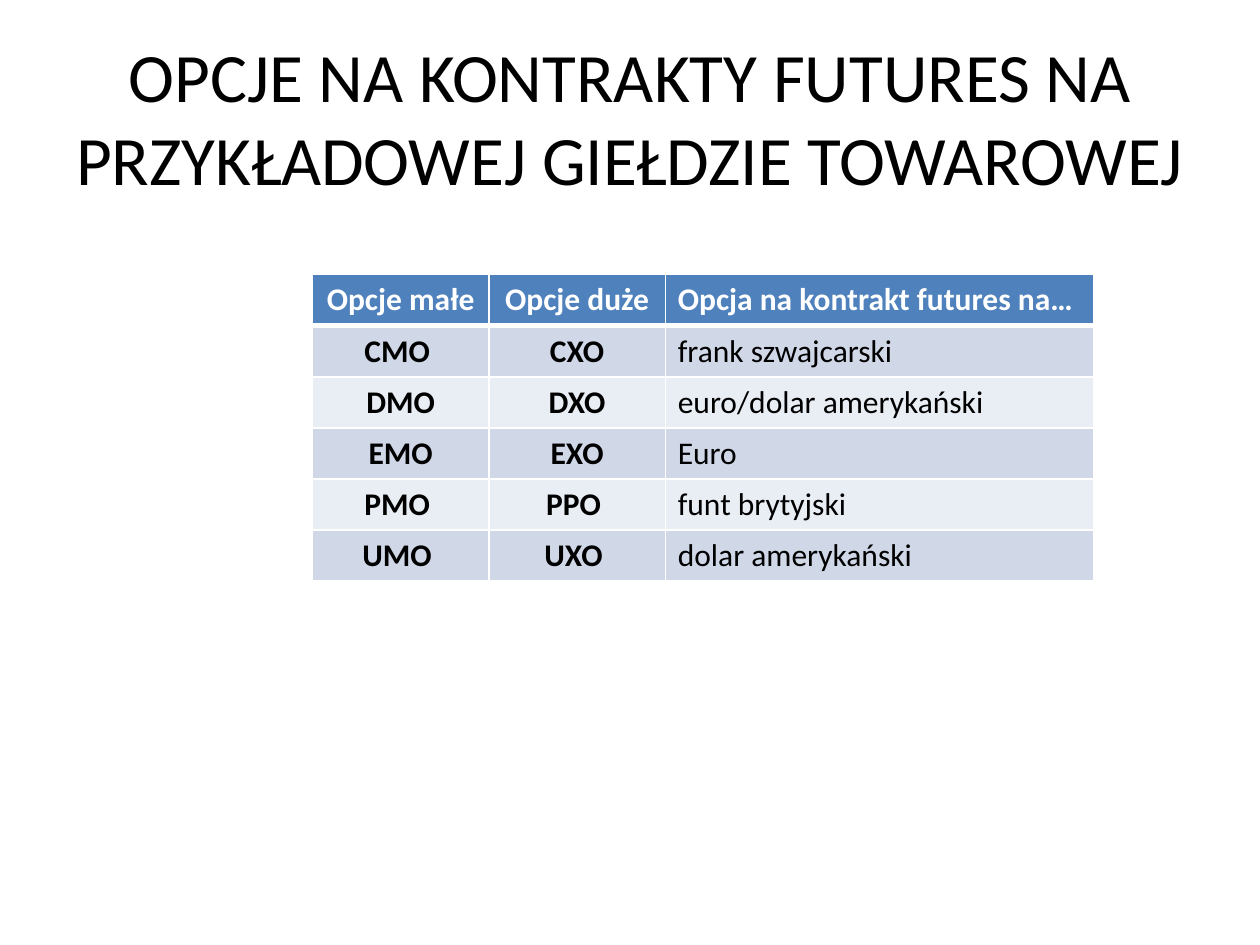
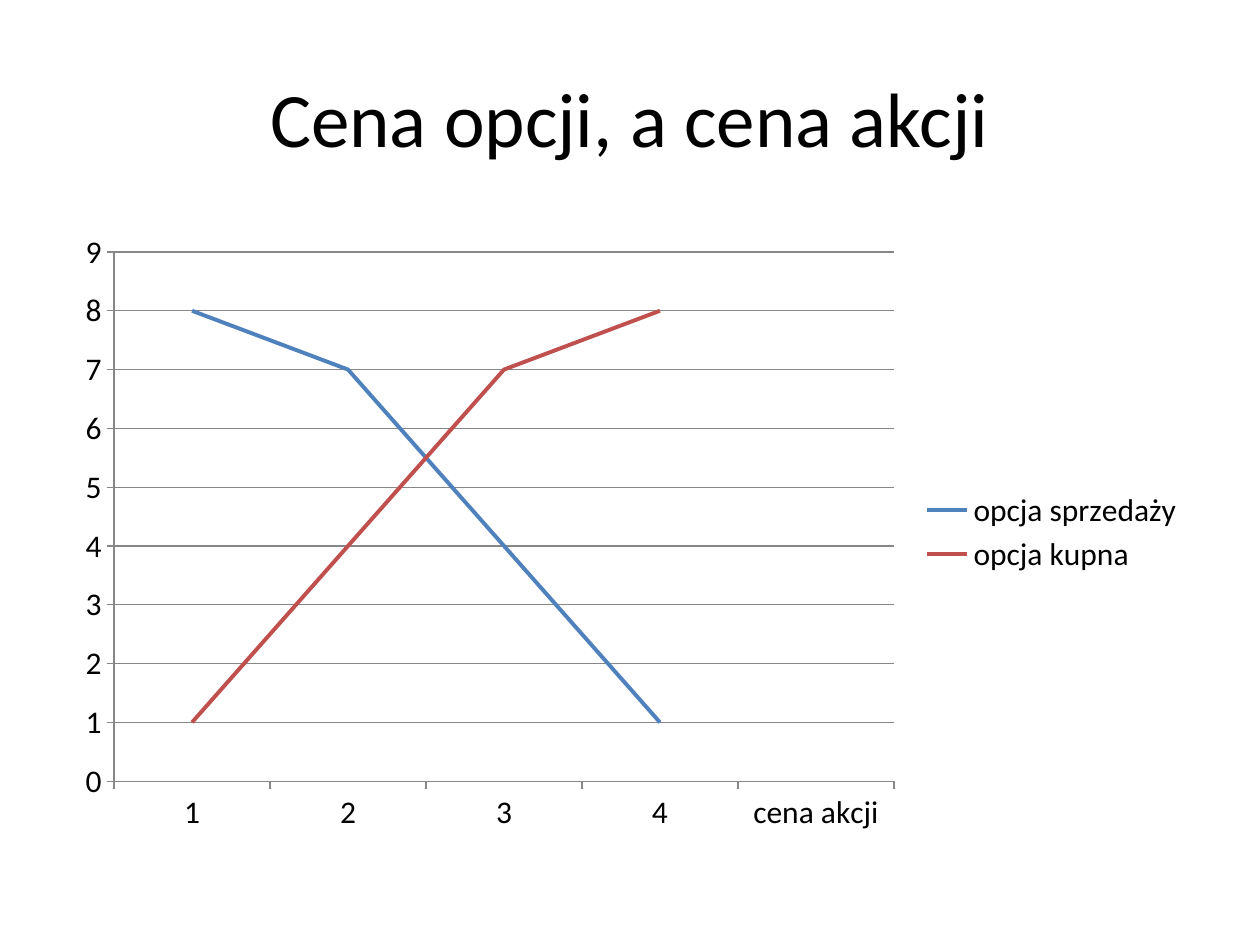
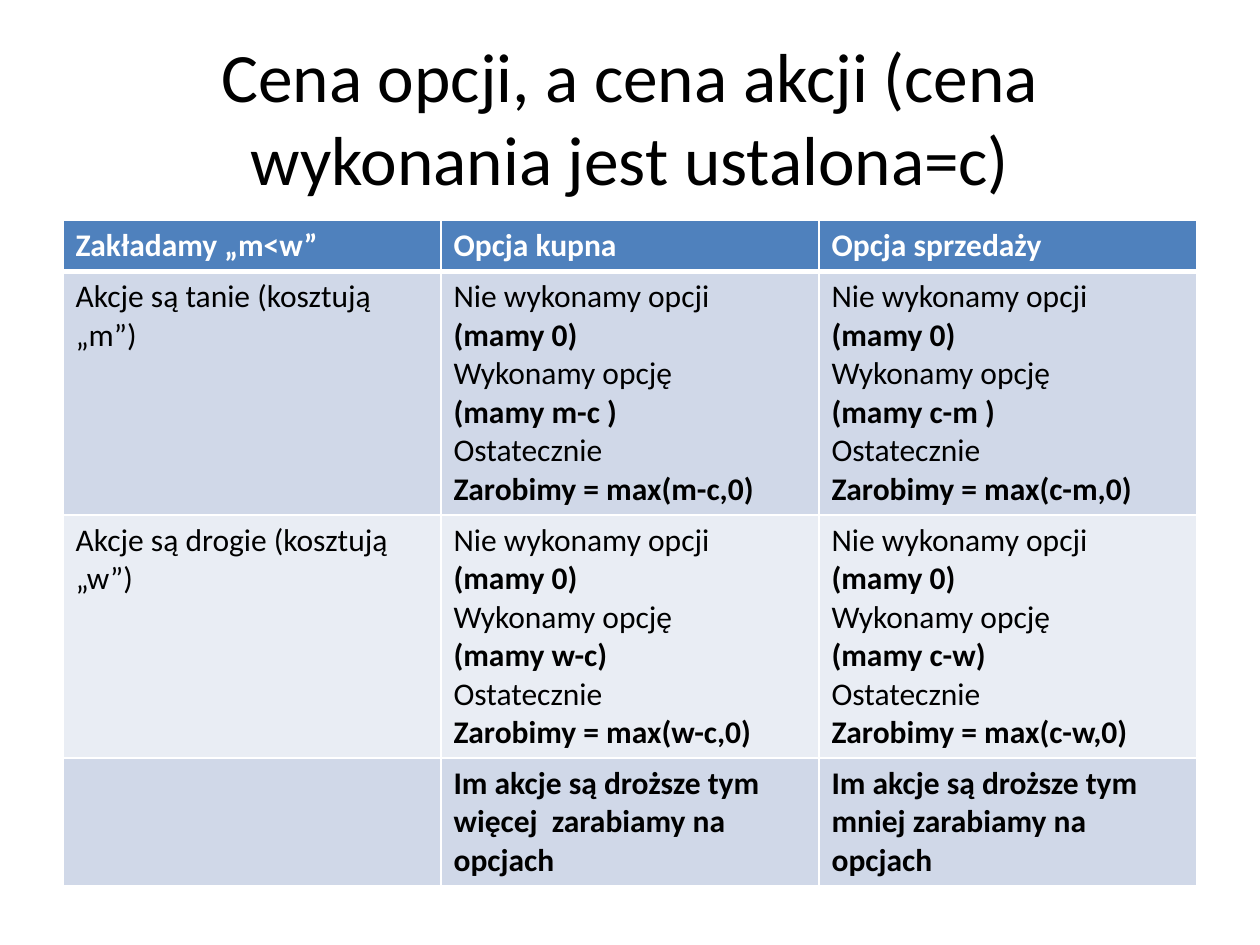
from dataclasses import dataclass

from lxml import etree
from pptx import Presentation
from pptx.chart.data import CategoryChartData
from pptx.dml.color import RGBColor
from pptx.enum.chart import XL_CHART_TYPE, XL_LEGEND_POSITION, XL_MARKER_STYLE, XL_TICK_MARK
from pptx.enum.text import MSO_ANCHOR, MSO_AUTO_SIZE, PP_ALIGN
from pptx.oxml.ns import qn
from pptx.slide import Slide
from pptx.util import Inches, Pt

# Shared look
COLORS = {
    "text": "000000",
    "white": "FFFFFF",
    "header": "4F81BD",
    "odd_row": "D0D8E8",
    "even_row": "E9EDF4",
    "put": "4F81BD",
    "call": "C0504D",
    "axis": "878787",
}
FONT = "Calibri"
BODY_SIZE = 18
LONG_TITLE_SIZE = 39.6
SHORT_TITLE_SIZE = 44
HEADER_HEIGHT = 0.4


@dataclass(frozen=True)
class Span:
    text: str
    bold: bool = False


# A cell is a list of lines, and a line is a list of spans
Cell = list[list[Span]]


@dataclass(frozen=True)
class OptionTable:
    left: float
    top: float
    column_widths: list[float]
    row_heights: list[float]
    rows: list[list[Cell]]
    centred_columns: int = 0


def color(name: str) -> RGBColor:
    return RGBColor.from_string(COLORS[name])


def style_font(font, size: float, color_name: str = "text", bold: bool = False) -> None:
    font.name = FONT
    font.size = Pt(size)
    font.bold = bold
    font.color.rgb = color(color_name)


def plain(text: str) -> Cell:
    return [[Span(text)]]


def strong(text: str) -> Cell:
    return [[Span(text, bold=True)]]


def payoff(gain: str, closing: str = ")") -> Cell:
    """Outcome of leaving or exercising an option with the given gain."""
    return [
        [Span("Nie wykonamy opcji "), Span("(mamy 0)", bold=True)],
        [Span("Wykonamy opcję")],
        [Span(f"(mamy {gain}{closing}", bold=True)],
        [Span("Ostatecznie")],
        [Span(f"Zarobimy = max({gain},0)", bold=True)],
    ]


def add_titled_slide(presentation, title_text: str, size: float) -> Slide:
    slide = presentation.slides.add_slide(presentation.slide_layouts[5])
    title = slide.shapes.title
    title.left, title.top = Inches(0.5), Inches(0.3)
    title.width, title.height = Inches(9), Inches(1.25)
    frame = title.text_frame
    frame.text = title_text
    frame.word_wrap = True
    frame.auto_size = MSO_AUTO_SIZE.NONE
    frame.vertical_anchor = MSO_ANCHOR.MIDDLE
    paragraph = frame.paragraphs[0]
    paragraph.alignment = PP_ALIGN.CENTER
    style_font(paragraph.runs[0].font, size)
    return slide


def add_borders(cell, bottom_width: float, top_width: float) -> None:
    properties = cell._tc.get_or_add_tcPr()
    widths = {"a:lnL": 1, "a:lnR": 1, "a:lnT": top_width, "a:lnB": bottom_width}
    for tag, width in widths.items():
        line = etree.SubElement(properties, qn(tag), w=str(Pt(width)))
        fill = etree.SubElement(line, qn("a:solidFill"))
        etree.SubElement(fill, qn("a:srgbClr"), val=COLORS["white"])


def fill_cell(cell, content: Cell, row: int, centred: bool) -> None:
    is_header = row == 0
    add_borders(cell, bottom_width=3 if is_header else 1, top_width=3 if row == 1 else 1)
    cell.fill.solid()
    fill_name = "header" if is_header else "odd_row" if row % 2 else "even_row"
    cell.fill.fore_color.rgb = color(fill_name)
    for index, line in enumerate(content):
        frame = cell.text_frame
        paragraph = frame.add_paragraph() if index else frame.paragraphs[0]
        paragraph.alignment = PP_ALIGN.CENTER if centred else PP_ALIGN.LEFT
        for span in line:
            run = paragraph.add_run()
            run.text = span.text
            style_font(run.font, BODY_SIZE, "white" if is_header else "text", span.bold)


def add_option_table(slide: Slide, layout: OptionTable) -> None:
    table = slide.shapes.add_table(
        len(layout.rows), len(layout.column_widths),
        Inches(layout.left), Inches(layout.top),
        Inches(sum(layout.column_widths)), Inches(sum(layout.row_heights)),
    ).table
    for column, width in zip(table.columns, layout.column_widths):
        column.width = Inches(width)
    for row, height in zip(table.rows, layout.row_heights):
        row.height = Inches(height)
    for row_number, contents in enumerate(layout.rows):
        for column_number, content in enumerate(contents):
            fill_cell(table.cell(row_number, column_number), content,
                      row_number, column_number < layout.centred_columns)


def add_price_chart(slide: Slide) -> None:
    prices = CategoryChartData()
    prices.categories = ["1", "2", "3", "4", "cena akcji"]
    prices.add_series("opcja sprzedaży", [8, 7, 4, 1, None])
    prices.add_series("opcja kupna", [1, 4, 7, 8, None])
    chart = slide.shapes.add_chart(
        XL_CHART_TYPE.LINE, Inches(0.5), Inches(1.75), Inches(9), Inches(4.95), prices
    ).chart
    chart.has_title = False
    style_font(chart.font, BODY_SIZE)
    chart.has_legend = True
    chart.legend.position = XL_LEGEND_POSITION.RIGHT
    chart.legend.include_in_layout = False

    # Axes and gridlines
    value_axis = chart.value_axis
    value_axis.minimum_scale, value_axis.maximum_scale = 0, 9
    value_axis.major_unit = 1
    value_axis.has_major_gridlines = True
    for axis in (chart.category_axis, value_axis):
        axis.major_tick_mark = XL_TICK_MARK.OUTSIDE
    for ruled in (chart.category_axis, value_axis, value_axis.major_gridlines):
        ruled.format.line.color.rgb = color("axis")
        ruled.format.line.width = Pt(0.75)

    # Option price lines
    plot = chart.plots[0]
    plot.vary_by_categories = False
    for series, color_name in zip(plot.series, ("put", "call")):
        series.smooth = False
        series.marker.style = XL_MARKER_STYLE.NONE
        series.format.line.color.rgb = color(color_name)
        series.format.line.width = Pt(2.25)


FUTURES_OPTIONS = [
    ("CMO ", "CXO", "frank szwajcarski"),
    ("DMO", "DXO", "euro/dolar amerykański"),
    ("EMO", "EXO", "Euro"),
    ("PMO ", "PPO ", "funt brytyjski"),
    ("UMO ", "UXO ", "dolar amerykański"),
]

FUTURES_TABLE = OptionTable(
    left=2.48,
    top=2.18,
    column_widths=[1.4, 1.4, 3.4],
    row_heights=[HEADER_HEIGHT] * (len(FUTURES_OPTIONS) + 1),
    rows=[
        [strong("Opcje małe"), strong("Opcje duże"), strong("Opcja na kontrakt futures na…")],
        *([strong(small), strong(large), plain(asset)]
          for small, large, asset in FUTURES_OPTIONS),
    ],
    centred_columns=2,
)

PAYOFF_TABLE = OptionTable(
    left=0.5,
    top=1.75,
    column_widths=[3, 3, 3],
    row_heights=[HEADER_HEIGHT, 1.92, 1.92, 1],
    rows=[
        [strong("Zakładamy „m<w”"), strong("Opcja kupna"), strong("Opcja sprzedaży")],
        [plain("Akcje są tanie (kosztują „m”)"), payoff("m-c", " )"), payoff("c-m", " )")],
        [plain("Akcje są drogie (kosztują „w”)"), payoff("w-c"), payoff("c-w")],
        [
            [],
            strong("Im akcje są droższe tym więcej  zarabiamy na opcjach"),
            strong("Im akcje są droższe tym mniej zarabiamy na opcjach"),
        ],
    ],
)


def main() -> None:
    presentation = Presentation()
    presentation.slide_width, presentation.slide_height = Inches(10), Inches(7.5)

    # Options on futures contracts
    futures_slide = add_titled_slide(
        presentation,
        "OPCJE NA KONTRAKTY FUTURES NA PRZYKŁADOWEJ GIEŁDZIE TOWAROWEJ",
        LONG_TITLE_SIZE,
    )
    add_option_table(futures_slide, FUTURES_TABLE)

    # Option price against share price
    price_slide = add_titled_slide(presentation, "Cena opcji, a cena akcji", SHORT_TITLE_SIZE)
    add_price_chart(price_slide)

    # Payoff at a fixed exercise price
    payoff_slide = add_titled_slide(
        presentation,
        "Cena opcji, a cena akcji (cena wykonania jest ustalona=c)",
        LONG_TITLE_SIZE,
    )
    add_option_table(payoff_slide, PAYOFF_TABLE)

    presentation.save("out.pptx")


if __name__ == "__main__":
    main()
